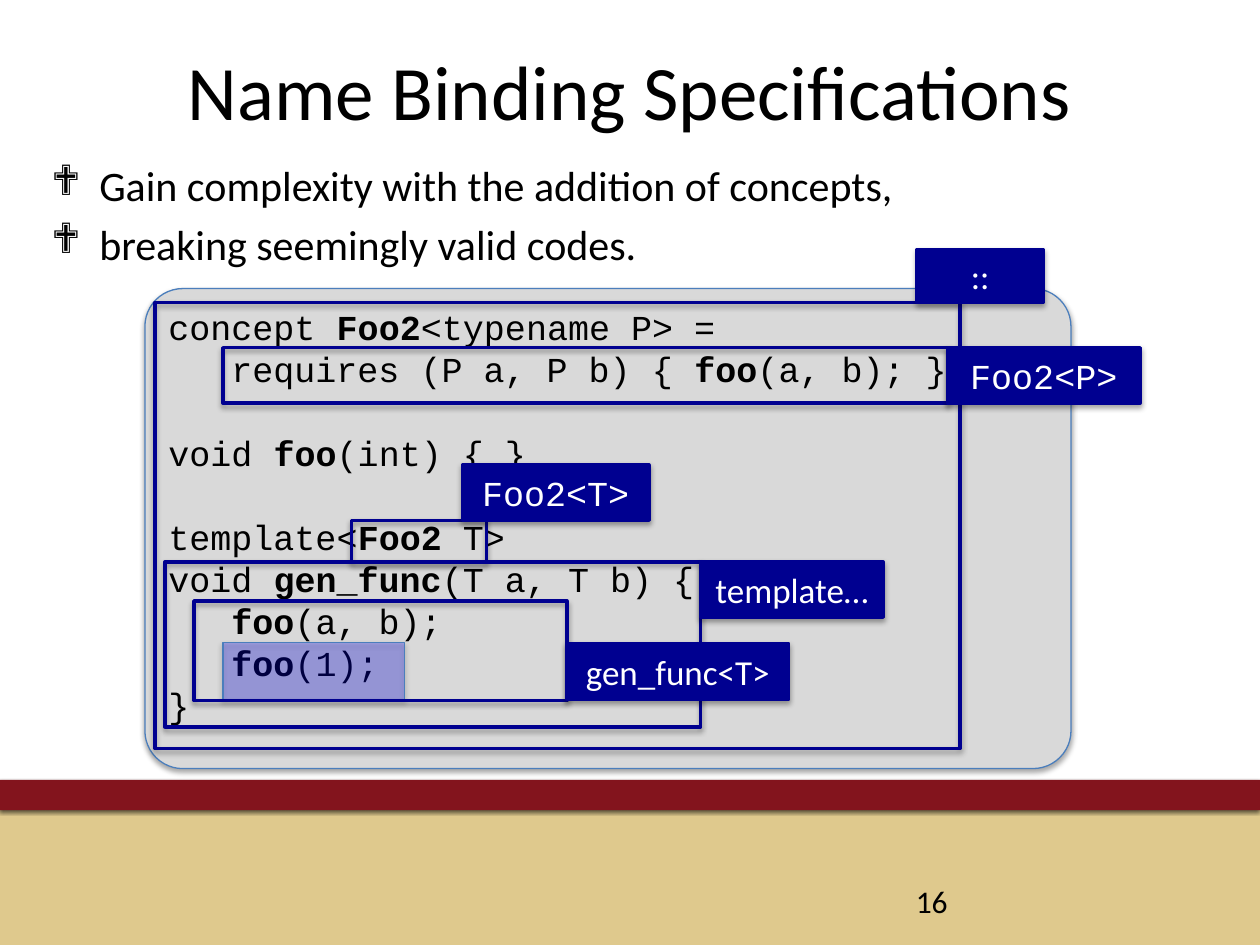
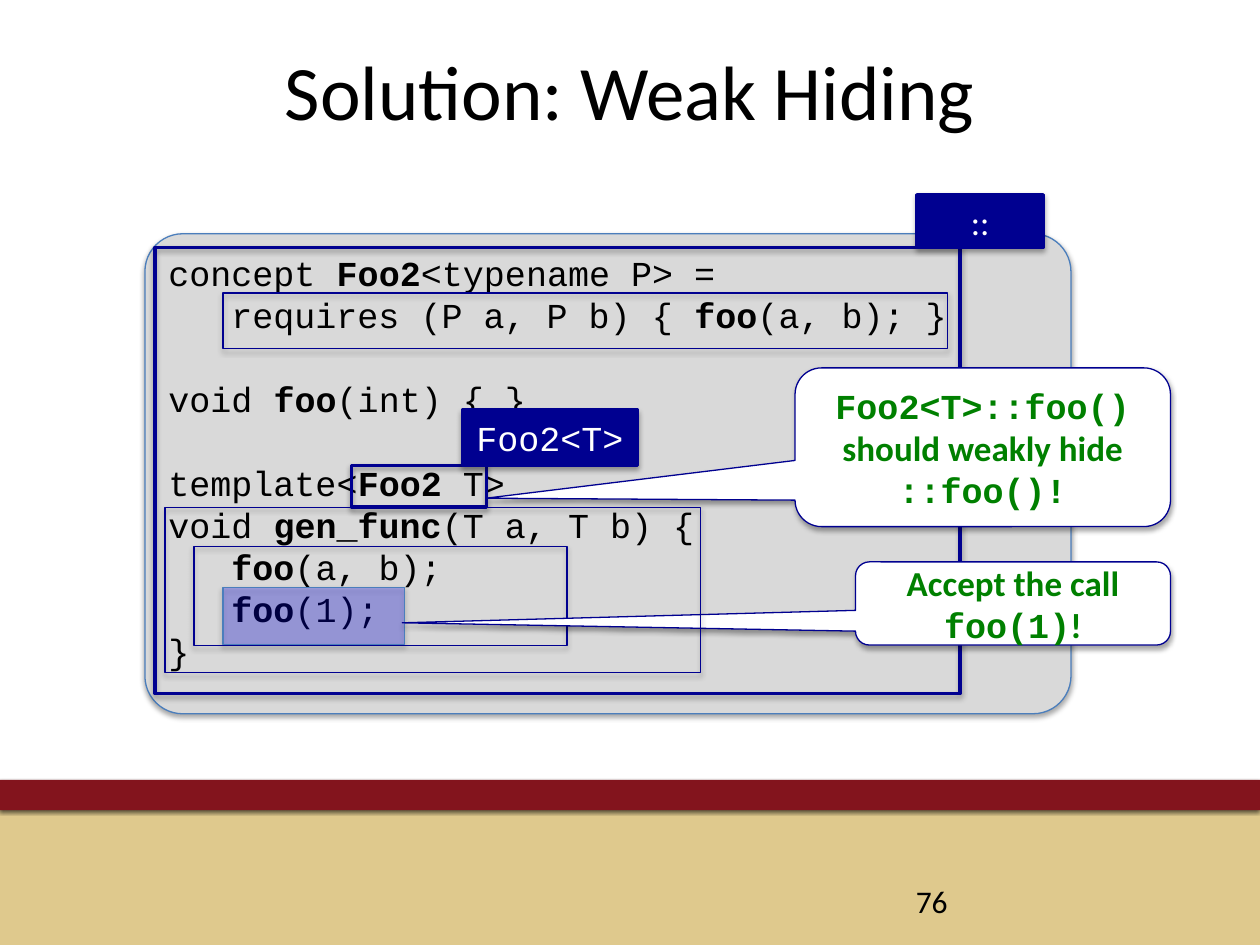
from dataclasses import dataclass
from typing import Any, NamedTuple, Optional

from lxml.etree import SubElement
from pptx import Presentation
from pptx.dml.color import RGBColor
from pptx.enum.shapes import MSO_SHAPE
from pptx.enum.text import MSO_ANCHOR, PP_ALIGN
from pptx.oxml.ns import qn
from pptx.util import Emu, Inches, Pt

# Grid: 100 columns by 75 rows of square cells
CELL = Inches(0.1)
COLUMNS, ROWS = 100, 75

BLACK = RGBColor(0x00, 0x00, 0x00)
WHITE = RGBColor(0xFF, 0xFF, 0xFF)
SAND = RGBColor(0xDF, 0xC9, 0x8D)
MAROON = RGBColor(0x83, 0x14, 0x1D)
PANEL_GREY = RGBColor(0xD9, 0xD9, 0xD9)
STEEL = RGBColor(0x4B, 0x7E, 0xBC)
NAVY = RGBColor(0x00, 0x00, 0x90)
BLUE = RGBColor(0x00, 0x00, 0xFF)
GREEN = RGBColor(0x00, 0x80, 0x00)

SANS, MONO = "Calibri", "Courier New"
THIN, THICK = 0.75, 2
CODE_LINE = Pt(24)


class Box(NamedTuple):
    left: float
    top: float
    width: float
    height: float

    def down(self, rows: float) -> "Box":
        return self._replace(top=self.top + rows)

    def lengths(self) -> list[Emu]:
        return [Emu(round(cells * CELL)) for cells in self]


class Shadow(NamedTuple):
    alpha: int
    blur: float
    distance: float
    angle: int


class Span(NamedTuple):
    text: str
    font: str = SANS
    bold: bool = False


@dataclass(frozen=True)
class Look:
    fill: Optional[RGBColor] = None
    line: Optional[RGBColor] = None
    weight: float = THIN
    shadow: Optional[Shadow] = None
    alpha: int = 100


@dataclass(frozen=True)
class Label:
    box: Box
    text: str
    font: str = SANS


@dataclass(frozen=True)
class Scope:
    """A frame around code, placed from the panel's top."""
    box: Box
    weight: float = THICK
    label: Optional[Label] = None


@dataclass(frozen=True)
class Callout:
    box: Box
    adjustments: tuple[float, ...]
    lines: list[list[Span]]


SOFT = Shadow(35, 3.1, 1.8, 90)
BAND_SHADOW = Shadow(60, 2, 1, 105)
LABEL_LOOK = Look(NAVY, NAVY, THICK, SOFT)
PANEL_LOOK = Look(PANEL_GREY, STEEL, THIN, SOFT)
HIGHLIGHT_LOOK = Look(BLUE, STEEL, THIN, SOFT, 25)
CALLOUT_LOOK = Look(WHITE, NAVY, THIN, SOFT)

# Code: bold parts stand between bars; gaps come before the listed lines
CODE = [
    "concept |Foo2|<typename P> =",
    "\trequires (P a, P b) { |foo|(a, b); }",
    "void |foo|(int) { }",
    "template<|Foo2 |T>",
    "void |gen_func|(T a, T b) {",
    "\t|foo|(a, b);",
    "\t|foo|(1);",
    "}",
]
GAP_BEFORE = {2, 3}

# Frames and labels, with rows counted from the panel's top
HIGHLIGHT = Box(17.7, 28.1, 14.4, 4.5)
ARGUMENT = Box(27.9, 18.4, 10.7, 3.3)
BODY = Box(15.4, 24.8, 29.6, 7.9)
GLOBAL = Box(12.3, 1.1, 63.9, 35.4)
REQUIRES = Box(17.7, 4.7, 57.5, 4.4)
TEMPLATE = Box(13.1, 21.7, 42.5, 13.1)
GLOBAL_LABEL = Label(Box(72.8, -3.1, 10, 4.2), "::")


def argument_label(width: float) -> Label:
    return Label(Box(36.7, 14, width, 4.4), "Foo2<T>", MONO)


def set_all(target: Any, values: dict[str, Any]) -> None:
    for name, value in values.items():
        setattr(target, name, value)


def add_shadow(s, shadow: Shadow) -> None:
    effects = s._element.spPr.find(qn("a:effectLst"))
    outer = SubElement(effects, qn("a:outerShdw"), {
        "blurRad": str(Pt(shadow.blur)), "dist": str(Pt(shadow.distance)),
        "dir": str(shadow.angle * 60000), "rotWithShape": "0"})
    colour = SubElement(outer, qn("a:srgbClr"), val=str(BLACK))
    SubElement(colour, qn("a:alpha"), val=str(shadow.alpha * 1000))


def add_box(slide, kind: MSO_SHAPE, box: Box, look: Look,
            adjustments: tuple[float, ...] = ()):
    s = slide.shapes.add_shape(kind, *box.lengths())
    for i, value in enumerate(adjustments):
        s.adjustments[i] = value
    s.shadow.inherit = False
    if look.fill is None:
        s.fill.background()
    else:
        s.fill.solid()
        s.fill.fore_color.rgb = look.fill
        if look.alpha < 100:
            colour = s._element.spPr.find(qn("a:solidFill"))[0]
            SubElement(colour, qn("a:alpha"), val=str(look.alpha * 1000))
    if look.line is None:
        s.line.fill.background()
    else:
        s.line.color.rgb = look.line
        s.line.width = Pt(look.weight)
    if look.shadow:
        add_shadow(s, look.shadow)
    return s


def add_spans(p, spans: list[Span], size: float, colour: RGBColor) -> None:
    for span in spans:
        r = p.add_run()
        r.text = span.text
        set_all(r.font, {"name": span.font, "size": Pt(size), "bold": span.bold})
        r.font.color.rgb = colour


def write(s, lines: list[list[Span]], size: float, colour: RGBColor = BLACK,
          align: PP_ALIGN = PP_ALIGN.LEFT,
          anchor: MSO_ANCHOR = MSO_ANCHOR.TOP) -> list:
    tf = s.text_frame
    set_all(tf, {"word_wrap": True, "vertical_anchor": anchor})
    for i, spans in enumerate(lines):
        p = tf.add_paragraph() if i else tf.paragraphs[0]
        p.alignment = align
        add_spans(p, spans, size, colour)
    return list(tf.paragraphs)


def add_base(prs, title: str, number: int):
    """Bands, title and slide number."""
    slide = prs.slides.add_slide(prs.slide_layouts[6])
    add_box(slide, MSO_SHAPE.RECTANGLE, Box(0, 64.3, COLUMNS, 10.7), Look(SAND))
    add_box(slide, MSO_SHAPE.RECTANGLE, Box(0, 61.9, COLUMNS, 2.4),
            Look(MAROON, shadow=BAND_SHADOW))
    heading = slide.shapes.add_textbox(*Box(5, 3, 90, 12.5).lengths())
    write(heading, [[Span(title)]], 44, align=PP_ALIGN.CENTER)
    footer = slide.shapes.add_textbox(*Box(71.7, 69.5, 23.3, 4).lengths())
    write(footer, [[Span(str(number))]], 18, anchor=MSO_ANCHOR.MIDDLE)
    return slide


def add_bullets(slide, box: Box, texts: list[str]) -> None:
    s = slide.shapes.add_textbox(*box.lengths())
    for i, p in enumerate(write(s, [[Span(text)] for text in texts], 24)):
        pPr = p._p.get_or_add_pPr()
        hanging = {"marL": Inches(0.38), "indent": -Inches(0.38)}
        for name, value in hanging.items():
            pPr.set(name, str(value))
        SubElement(pPr, qn("a:buFont"), typeface="Wingdings")
        SubElement(pPr, qn("a:buChar"), char="❖")
        if i:
            p.space_before = Pt(4.8)


def add_code_panel(slide, top: float) -> None:
    s = add_box(slide, MSO_SHAPE.ROUNDED_RECTANGLE, Box(11.5, top, 73.5, 38.1),
                PANEL_LOOK, (0.079,))
    lines = [[Span(part, MONO, i % 2 == 1)
              for i, part in enumerate(line.split("|")) if part] for line in CODE]
    for i, p in enumerate(write(s, lines, 20)):
        p.line_spacing = CODE_LINE
        if i in GAP_BEFORE:
            p.space_before = CODE_LINE
        tabs = SubElement(p._p.get_or_add_pPr(), qn("a:tabLst"))
        SubElement(tabs, qn("a:tab"), pos=str(Inches(0.5)), algn="l")
    add_box(slide, MSO_SHAPE.RECTANGLE, HIGHLIGHT.down(top), HIGHLIGHT_LOOK)


def add_frames(slide, top: float, scopes: list[Scope]) -> None:
    for scope in scopes:
        add_box(slide, MSO_SHAPE.RECTANGLE, scope.box.down(top),
                Look(None, NAVY, scope.weight, SOFT))


def add_labels(slide, top: float, scopes: list[Scope]) -> None:
    for label in (scope.label for scope in scopes if scope.label):
        s = add_box(slide, MSO_SHAPE.RECTANGLE, label.box.down(top), LABEL_LOOK)
        write(s, [[Span(label.text, label.font)]], 20, WHITE,
              PP_ALIGN.CENTER, MSO_ANCHOR.MIDDLE)


def add_callout(slide, callout: Callout) -> None:
    s = add_box(slide, MSO_SHAPE.ROUNDED_RECTANGULAR_CALLOUT, callout.box,
                CALLOUT_LOOK, callout.adjustments)
    write(s, callout.lines, 20, GREEN, PP_ALIGN.CENTER, MSO_ANCHOR.MIDDLE)


def build_name_binding(prs) -> None:
    top = 22.9
    scopes = [
        Scope(ARGUMENT, label=argument_label(14.8)),
        Scope(BODY, label=Label(Box(45, 28.2, 17.6, 4.4), "gen_func<T>")),
        Scope(GLOBAL, label=GLOBAL_LABEL),
        Scope(REQUIRES, label=Label(Box(75.2, 4.7, 15.3, 4.4), "Foo2<P>", MONO)),
        Scope(TEMPLATE, label=Label(Box(55.6, 21.7, 14.5, 4.4), "template…")),
    ]
    slide = add_base(prs, "Name Binding Specifications", 16)
    add_bullets(slide, Box(3.1, 12.2, 93.7, 53.9), [
        "Gain complexity with the addition of concepts,",
        "breaking seemingly valid codes."])
    add_code_panel(slide, top)
    add_frames(slide, top, scopes)
    add_labels(slide, top, scopes)


def build_weak_hiding(prs) -> None:
    top = 18.55
    scopes = [
        Scope(ARGUMENT, label=argument_label(13.9)),
        Scope(BODY, THIN),
        Scope(GLOBAL, label=GLOBAL_LABEL),
        Scope(REQUIRES, THIN),
    ]
    callouts = [
        Callout(Box(63.1, 29.2, 29.8, 12.6), (-1.323, 0.321, 0.167), [
            [Span("Foo2<T>::foo()", MONO, True)],
            [Span("should weakly hide", SANS, True)],
            [Span("::foo()!", MONO, True)]]),
        Callout(Box(67.9, 44.6, 25, 6.6), (-1.939, 0.233, 0.167), [
            [Span("Accept the call ", SANS, True), Span("foo(1)", MONO, True),
             Span("!", SANS, True)]]),
    ]
    slide = add_base(prs, "Solution: Weak Hiding", 76)
    add_code_panel(slide, top)
    add_frames(slide, top, scopes)
    for callout in callouts:
        add_callout(slide, callout)
    # The template frame crosses over the callout tails
    add_frames(slide, top, [Scope(TEMPLATE, THIN)])
    add_labels(slide, top, scopes)


def main() -> None:
    prs = Presentation()
    set_all(prs, {"slide_width": COLUMNS * CELL, "slide_height": ROWS * CELL})
    build_name_binding(prs)
    build_weak_hiding(prs)
    prs.save("out.pptx")


if __name__ == "__main__":
    main()
